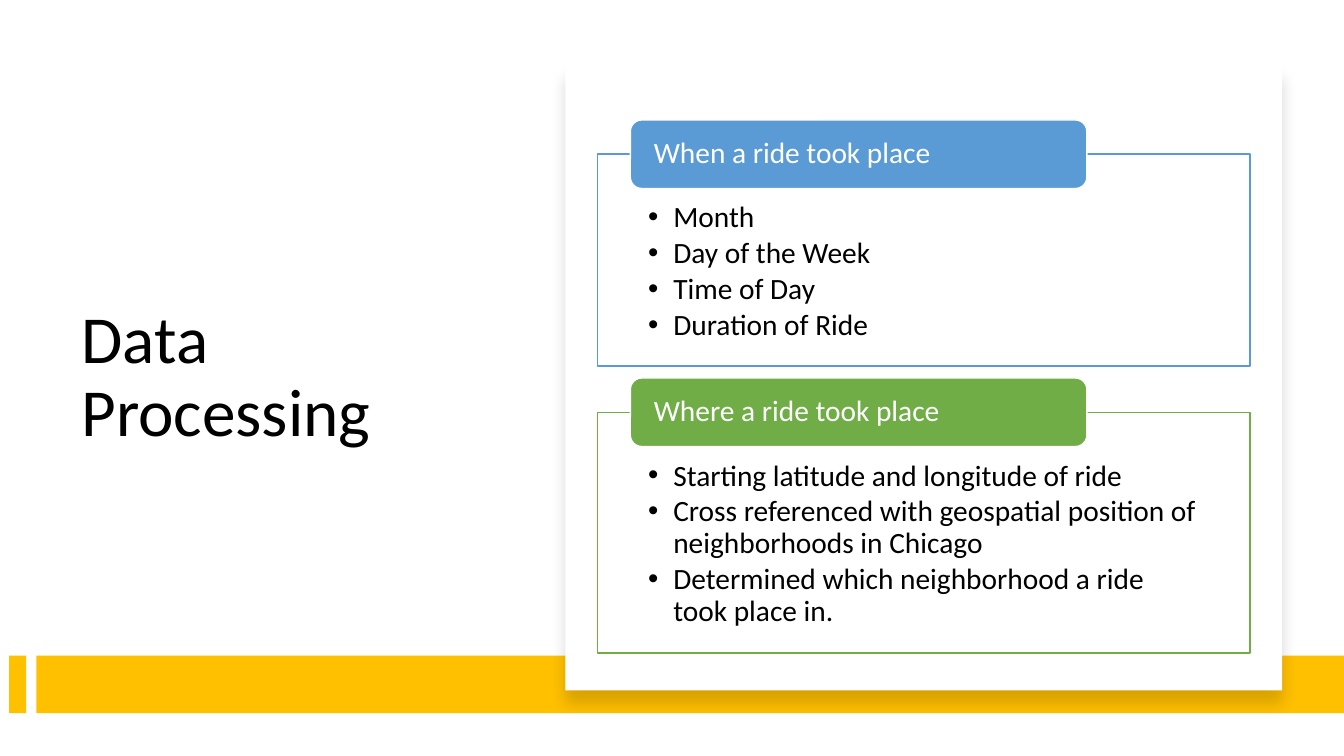
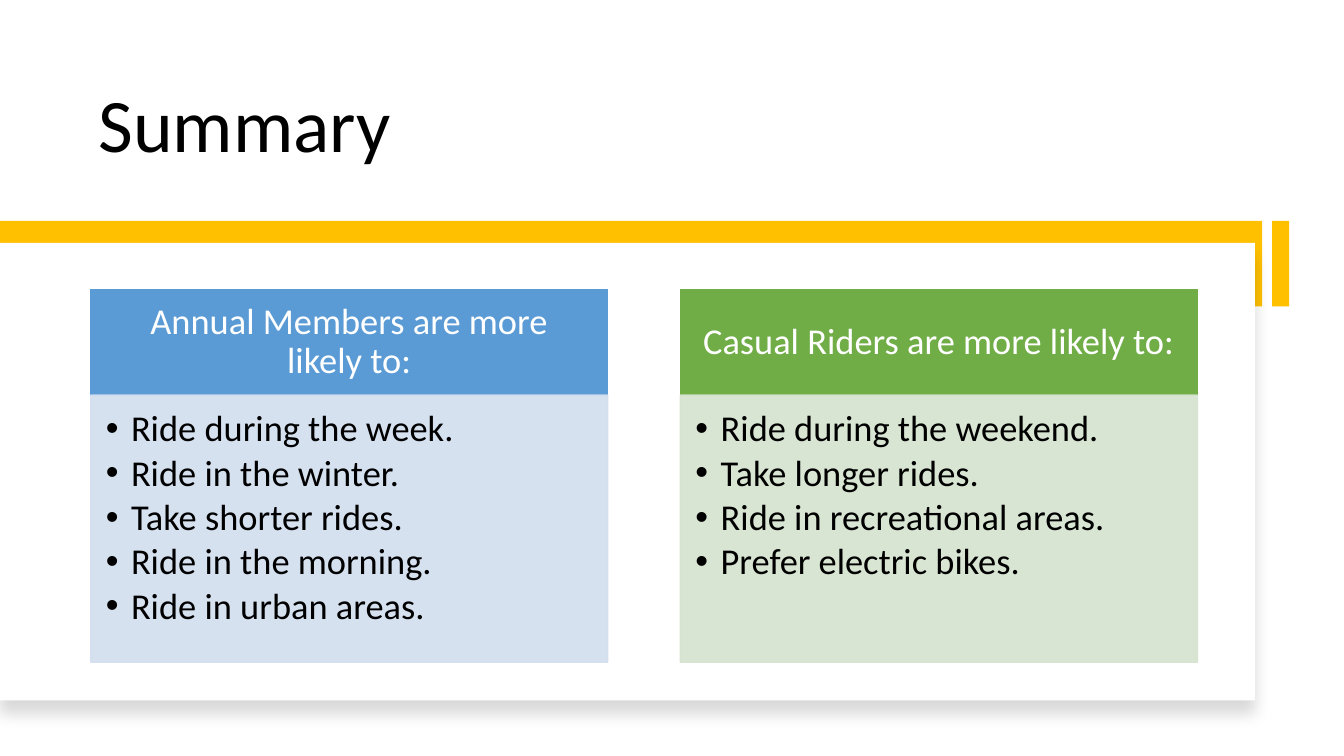
from dataclasses import dataclass

from lxml.etree import SubElement
from pptx import Presentation
from pptx.dml.color import RGBColor
from pptx.enum.shapes import MSO_SHAPE as Preset
from pptx.enum.text import MSO_ANCHOR as Anchor, PP_ALIGN as Align
from pptx.oxml.ns import qn
from pptx.util import Inches, Pt

BLACK = RGBColor(0x00, 0x00, 0x00)
WHITE = RGBColor(0xFF, 0xFF, 0xFF)
GOLD = RGBColor(0xFF, 0xC0, 0x00)
BLUE = RGBColor(0x5B, 0x9B, 0xD5)
GREEN = RGBColor(0x70, 0xAD, 0x47)
PALE_BLUE = RGBColor(0xD2, 0xDE, 0xEF)
PALE_GREEN = RGBColor(0xD5, 0xE3, 0xCF)

FONT = "Calibri"
COLUMNS, ROWS = 133.33, 75
MARKER_WIDTH, MARKER_GAP = 1.7, 1


def cells(count):
    return Inches(count / 10)


@dataclass
class Box:
    left: float
    top: float
    width: float
    height: float

    def inner(self, left, top, width, height):
        return Box(self.left + left, self.top + top, width, height)

    def place(self):
        return [cells(n) for n in (self.left, self.top, self.width, self.height)]


def add_block(page, box, fill, line=None, preset=Preset.RECTANGLE, opacity=None):
    block = page.shapes.add_shape(preset, *box.place())
    block.shadow.inherit = False
    block.fill.solid()
    block.fill.fore_color.rgb = fill
    if line is None:
        block.line.fill.background()
    else:
        block.line.color.rgb = line
        block.line.width = Pt(1)
    if opacity is not None:
        for color in list(block.element.spPr.iter(qn("a:srgbClr"))):
            SubElement(color, qn("a:alpha"), val=str(opacity * 1000))
    return block


def write(shape, *lines, size, color=BLACK, align=Align.LEFT, anchor=Anchor.MIDDLE,
          insets=(1, 0.5, 1, 0.5), bulleted=False):
    frame = shape.text_frame
    frame.word_wrap = True
    frame.vertical_anchor = anchor
    (frame.margin_left, frame.margin_top,
     frame.margin_right, frame.margin_bottom) = map(cells, insets)
    for index, text in enumerate(lines):
        para = frame.add_paragraph() if index else frame.paragraphs[0]
        para.alignment = align
        para.line_spacing = 0.9
        if bulleted:
            para.space_after = Pt(size * 0.14)
            properties = para._p.get_or_add_pPr()
            properties.set("marL", str(cells(2.5)))
            properties.set("indent", str(-cells(2.5)))
            SubElement(properties, qn("a:buFont"), typeface="Arial")
            SubElement(properties, qn("a:buChar"), char="•")
        span = para.add_run()
        span.text = text
        span.font.name = FONT
        span.font.size = Pt(size)
        span.font.color.rgb = color


def add_title(page, box, text, **style):
    write(page.shapes.add_textbox(*box.place()), text, **style)


def add_band(page, box, marker_first):
    bar_width = box.width - MARKER_WIDTH - MARKER_GAP
    marker_left = 0 if marker_first else bar_width + MARKER_GAP
    bar_left = MARKER_WIDTH + MARKER_GAP if marker_first else 0
    for left, width in ((marker_left, MARKER_WIDTH), (bar_left, bar_width)):
        add_block(page, box.inner(left, 0, width, box.height), GOLD)


def add_card(page, box):
    card = add_block(page, box, WHITE)
    effects = card.element.spPr.find(qn("a:effectLst"))
    shadow = SubElement(effects, qn("a:outerShdw"), blurRad=str(Pt(11)), dist=str(Pt(10)),
                        dir="5400000", algn="t", rotWithShape="0")
    color = SubElement(shadow, qn("a:srgbClr"), val=str(BLACK))
    SubElement(color, qn("a:alpha"), val="15000")


def add_tabbed_list(page, box, heading, items, color):
    tab_height = 6.8
    outline = add_block(page, box.inner(0, tab_height / 2, box.width, box.height - tab_height / 2),
                        WHITE, color)
    write(outline, *items, size=21, anchor=Anchor.TOP, insets=(5, 4.8, 5, 1.6), bulleted=True)
    tab = add_block(page, box.inner(box.width * 0.05, 0, box.width * 0.7, tab_height),
                    color, WHITE, Preset.ROUNDED_RECTANGLE)
    write(tab, heading, size=21, color=WHITE, insets=(2, 0, 2, 0))


def add_headed_list(page, box, heading, items, color, tint):
    head_height = 10.5
    head = add_block(page, box.inner(0, 0, box.width, head_height), color, color)
    write(head, heading, size=26, color=WHITE, align=Align.CENTER, insets=(2, 1.2, 2, 1.2))
    body = add_block(page, box.inner(0, head_height, box.width, box.height - head_height),
                     tint, tint, opacity=90)
    write(body, *items, size=26, anchor=Anchor.TOP, insets=(1.5, 1.5, 2, 2.3), bulleted=True)


def build_processing(page):
    add_title(page, Box(7.1, 12, 41.5, 51), "Data Processing", size=48)
    add_band(page, Box(0.9, 65.05, COLUMNS - 0.9, 5.7), marker_first=True)
    card = Box(56.1, 6.4, 71.1, 62.1)
    add_card(page, card)
    sections = (
        (24.4, "When a ride took place", BLUE,
         ("Month", "Day of the Week", "Time of Day", "Duration of Ride")),
        (27.3, "Where a ride took place", GREEN,
         ("Starting latitude and longitude of ride",
          "Cross referenced with geospatial position of neighborhoods in Chicago",
          "Determined which neighborhood a ride took place in.")),
    )
    top, gap, margin = 5.5, 1.2, 3.2
    for height, heading, color, items in sections:
        box = card.inner(margin, top, card.width - 2 * margin, height)
        add_tabbed_list(page, box, heading, items, color)
        top += height + gap


def build_summary(page):
    add_title(page, Box(8.8, 4.2, 101, 13), "Summary", size=54, anchor=Anchor.BOTTOM)
    add_band(page, Box(0, 21.9, 127.9, 8.5), marker_first=False)
    card = Box(0, 24.1, 124.5, 45.4)
    add_card(page, card)
    groups = (
        ("Annual Members are more likely to:", BLUE, PALE_BLUE,
         ("Ride during the week.", "Ride in the winter.", "Take shorter rides.",
          "Ride in the morning.", "Ride in urban areas.")),
        ("Casual Riders are more likely to:", GREEN, PALE_GREEN,
         ("Ride during the weekend.", "Take longer rides.",
          "Ride in recreational areas.", "Prefer electric bikes.")),
    )
    width, gap = 51.3, 7.2
    for index, (heading, color, tint, items) in enumerate(groups):
        box = card.inner(9 + index * (width + gap), 4.6, width, 37)
        add_headed_list(page, box, heading, items, color, tint)


def main():
    deck = Presentation()
    deck.slide_width, deck.slide_height = cells(COLUMNS), cells(ROWS)
    for build in (build_processing, build_summary):
        build(deck.slides.add_slide(deck.slide_layouts[6]))
    deck.save("out.pptx")


if __name__ == "__main__":
    main()
